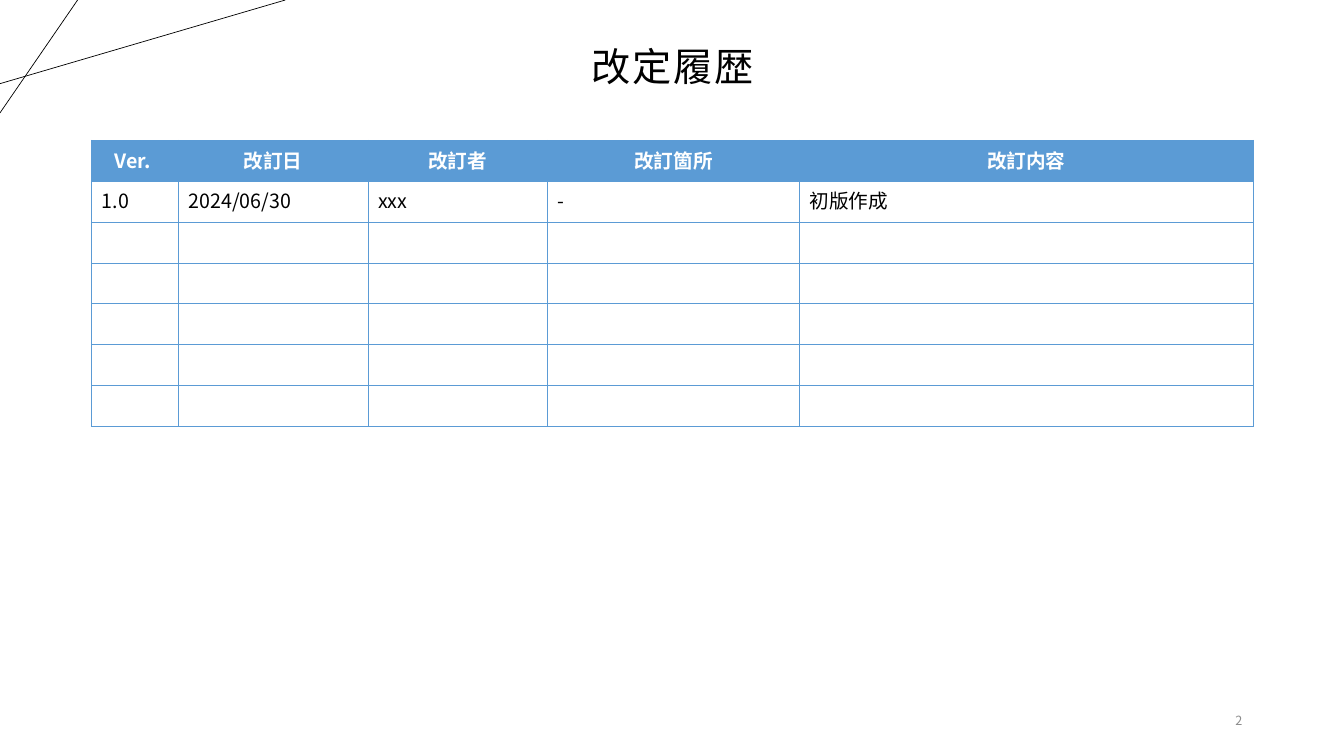
from lxml.etree import SubElement
from pptx import Presentation
from pptx.dml.color import RGBColor
from pptx.enum.shapes import MSO_CONNECTOR as Connector
from pptx.enum.text import MSO_ANCHOR as Anchor, PP_ALIGN as Align
from pptx.oxml.ns import qn
from pptx.util import Inches, Pt

WIDTH, HEIGHT = 13.33, 7.5
FONT = "Noto Sans CJK JP"
COLORS = {"ink": "000000", "accent": "5B9BD5", "white": "FFFFFF", "muted": "8C8C8C"}

CORNER_LINES = [((0, 0.83), (2.83, 0)), ((0.77, 0), (0, 1.12))]
COLUMN_WIDTHS = [0.86, 1.88, 1.78, 2.5, 4.5]
ROW_COUNT, ROW_HEIGHT = 7, 0.406
HISTORY = [
    ["Ver. ", "改訂日", "改訂者", "改訂箇所", "改訂内容"],
    ["1.0", "2024/06/30", "xxx", "-", "初版作成"],
]


def color(name):
    return RGBColor.from_string(COLORS[name])


def format_para(para, size, color_name, align, bold=False, spacing=0):
    """Style each run, with the same font for Latin and East Asian text."""
    para.alignment = align
    for span in para.runs:
        span.font.size = Pt(size)
        span.font.name = FONT
        span.font.bold = bold
        span.font.color.rgb = color(color_name)
        properties = span.font._element
        SubElement(properties, qn("a:ea")).set("typeface", FONT)
        if spacing:
            properties.set("spc", str(round(spacing * 100)))


def add_line(page, start, end):
    line = page.shapes.add_connector(
        Connector.STRAIGHT, *(Inches(value) for value in (*start, *end)))
    line.line.color.rgb = color("ink")
    line.line.width = Pt(0.5)
    SubElement(line._element.spPr, qn("a:effectLst"))


def add_text(page, text, place, anchor, **style):
    box = page.shapes.add_textbox(*(Inches(value) for value in place))
    frame = box.text_frame
    frame.word_wrap = True
    frame.vertical_anchor = anchor
    frame.text = text
    format_para(frame.paragraphs[0], **style)
    return frame.paragraphs[0]


def add_borders(cell):
    properties = cell._tc.get_or_add_tcPr()
    for side in ("lnL", "lnR", "lnT", "lnB"):
        border = SubElement(properties, qn(f"a:{side}"), w=str(Pt(0.5)))
        fill = SubElement(border, qn("a:solidFill"))
        SubElement(fill, qn("a:srgbClr"), val=COLORS["accent"])


def fill_cell(cell, text, is_header):
    add_borders(cell)
    if is_header:
        cell.fill.solid()
        cell.fill.fore_color.rgb = color("accent")
    else:
        cell.fill.background()
    para = cell.text_frame.paragraphs[0]
    if text:
        para.text = text
        format_para(para, 14, "white" if is_header else "ink",
                    Align.CENTER if is_header else Align.LEFT, bold=is_header)
    else:
        # An empty cell takes its minimum height from the end-of-paragraph size.
        SubElement(para._p, qn("a:endParaRPr"), sz="1400")


def add_history_table(page, left, top):
    table = page.shapes.add_table(
        ROW_COUNT, len(COLUMN_WIDTHS), Inches(left), Inches(top),
        Inches(sum(COLUMN_WIDTHS)), Inches(ROW_COUNT * ROW_HEIGHT)).table
    table.horz_banding = False
    for column, width in zip(table.columns, COLUMN_WIDTHS):
        column.width = Inches(width)
    blank_rows = [[""] * len(COLUMN_WIDTHS)] * (ROW_COUNT - len(HISTORY))
    for index, texts in enumerate(HISTORY + blank_rows):
        table.rows[index].height = Inches(ROW_HEIGHT)
        for cell, text in zip(table.rows[index].cells, texts):
            fill_cell(cell, text, is_header=index == 0)


def main():
    deck = Presentation()
    deck.slide_width, deck.slide_height = Inches(WIDTH), Inches(HEIGHT)
    page = deck.slides.add_slide(deck.slide_layouts[6])

    for start, end in CORNER_LINES:
        add_line(page, start, end)
    title = add_text(page, "改定履歴", (0.92, 0.39, 11.5, 0.55), Anchor.BOTTOM,
                     size=28, color_name="ink", align=Align.CENTER, spacing=1.5)
    title.line_spacing = 0.9
    add_history_table(page, 0.91, 1.39)
    add_text(page, "2", (11.34, 6.95, 1.08, 0.4), Anchor.MIDDLE,
             size=9, color_name="muted", align=Align.RIGHT)

    deck.save("out.pptx")


if __name__ == "__main__":
    main()
